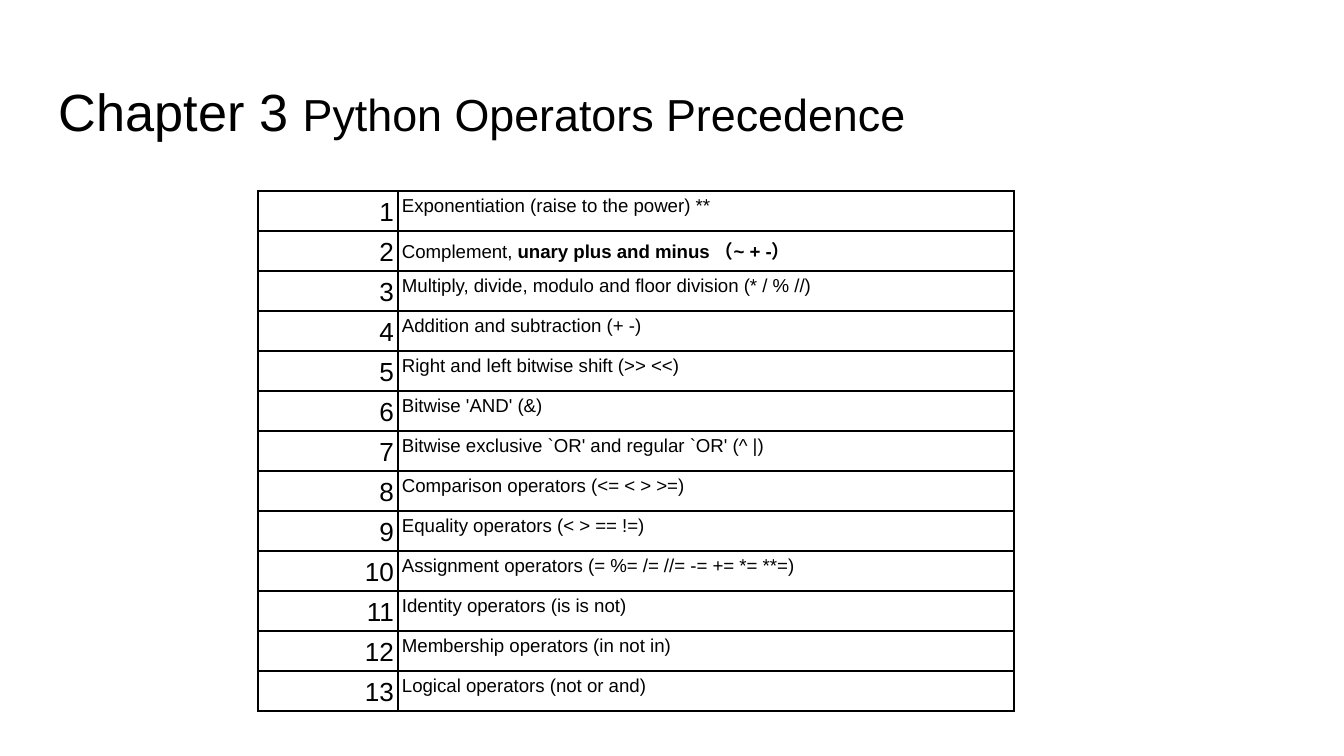
from dataclasses import dataclass

from lxml import etree
from pptx import Presentation
from pptx import util as u
from pptx.dml.color import RGBColor
from pptx.enum import text
from pptx.oxml import ns

PX = u.Inches(1) / 134.4


@dataclass(frozen=True)
class Theme:
    font: str = "Arial"
    ink: RGBColor = RGBColor(0, 0, 0)
    paper: RGBColor = RGBColor(255, 255, 255)
    chapter_size: int = 28
    title_size: int = 24
    rank_size: int = 14
    operator_size: int = 10
    border: float = 0.75


THEME = Theme()

OPERATORS = [
    "Exponentiation (raise to the power) **",
    ("Complement, ", "unary plus and minus （~ + -）"),
    "Multiply, divide, modulo and floor division (* / % //)",
    "Addition and subtraction (+ -)",
    "Right and left bitwise shift (>> <<)",
    "Bitwise 'AND' (&)",
    "Bitwise exclusive `OR' and regular `OR' (^ |)",
    "Comparison operators (<= < > >=)",
    "Equality operators (< > == !=)",
    "Assignment operators (= %= /= //= -= += *= **=)",
    "Identity operators (is is not)",
    "Membership operators (in not in)",
    "Logical operators (not or and)",
]


def px(length):
    return u.Emu(round(length * PX))


def add_run(paragraph, words, size, bold=False):
    run = paragraph.add_run()
    run.text = words
    run.font.name = THEME.font
    run.font.size = u.Pt(size)
    run.font.bold = bold
    run.font.color.rgb = THEME.ink


def style_cell(cell):
    cell.margin_left = cell.margin_right = px(4)
    cell.margin_top = cell.margin_bottom = px(2)
    # Borders come before the fill in the cell properties
    properties = cell._tc.get_or_add_tcPr()
    for side in ("a:lnL", "a:lnR", "a:lnT", "a:lnB"):
        line = etree.SubElement(properties, ns.qn(side), w=str(u.Pt(THEME.border)))
        fill = etree.SubElement(line, ns.qn("a:solidFill"))
        etree.SubElement(fill, ns.qn("a:srgbClr"), val=str(THEME.ink))
    cell.fill.background()


def add_title(slide, left, top, width, height):
    shape = slide.shapes.add_textbox(px(left), px(top), px(width), px(height))
    frame = shape.text_frame
    frame.word_wrap = True
    frame.vertical_anchor = text.MSO_ANCHOR.TOP
    frame.margin_left = frame.margin_right = px(13)
    frame.margin_top = frame.margin_bottom = px(13)
    paragraph = frame.paragraphs[0]
    add_run(paragraph, "Chapter 3 ", THEME.chapter_size)
    add_run(paragraph, "Python Operators Precedence", THEME.title_size)


def add_precedence_table(slide, left, top, width, height):
    rank_width = 140
    row_count = len(OPERATORS)
    table = slide.shapes.add_table(
        row_count, 2, px(left), px(top), px(width), px(height)).table
    table.first_row = table.horz_banding = False
    table.columns[0].width = px(rank_width)
    table.columns[1].width = px(width - rank_width)

    for index, operator in enumerate(OPERATORS):
        # The rows grow from this height to fit their text
        table.rows[index].height = px(height / row_count)
        rank_cell, operator_cell = table.rows[index].cells
        for cell in (rank_cell, operator_cell):
            style_cell(cell)
            cell.text_frame.paragraphs[0].line_spacing = 1.15

        # Rank
        paragraph = rank_cell.text_frame.paragraphs[0]
        paragraph.alignment = text.PP_ALIGN.RIGHT
        add_run(paragraph, str(index + 1), THEME.rank_size)

        # Operator, with any second part in bold
        parts = (operator,) if isinstance(operator, str) else operator
        paragraph = operator_cell.text_frame.paragraphs[0]
        for position, part in enumerate(parts):
            add_run(paragraph, part, THEME.operator_size, bold=position > 0)


def main():
    presentation = Presentation()
    presentation.slide_width, presentation.slide_height = px(1344), px(756)
    slide = presentation.slides.add_slide(presentation.slide_layouts[6])
    slide.background.fill.solid()
    slide.background.fill.fore_color.rgb = THEME.paper
    add_title(slide, 46, 66, 1252, 85)
    add_precedence_table(slide, 258, 191, 756, 390)
    presentation.save("out.pptx")


if __name__ == "__main__":
    main()
